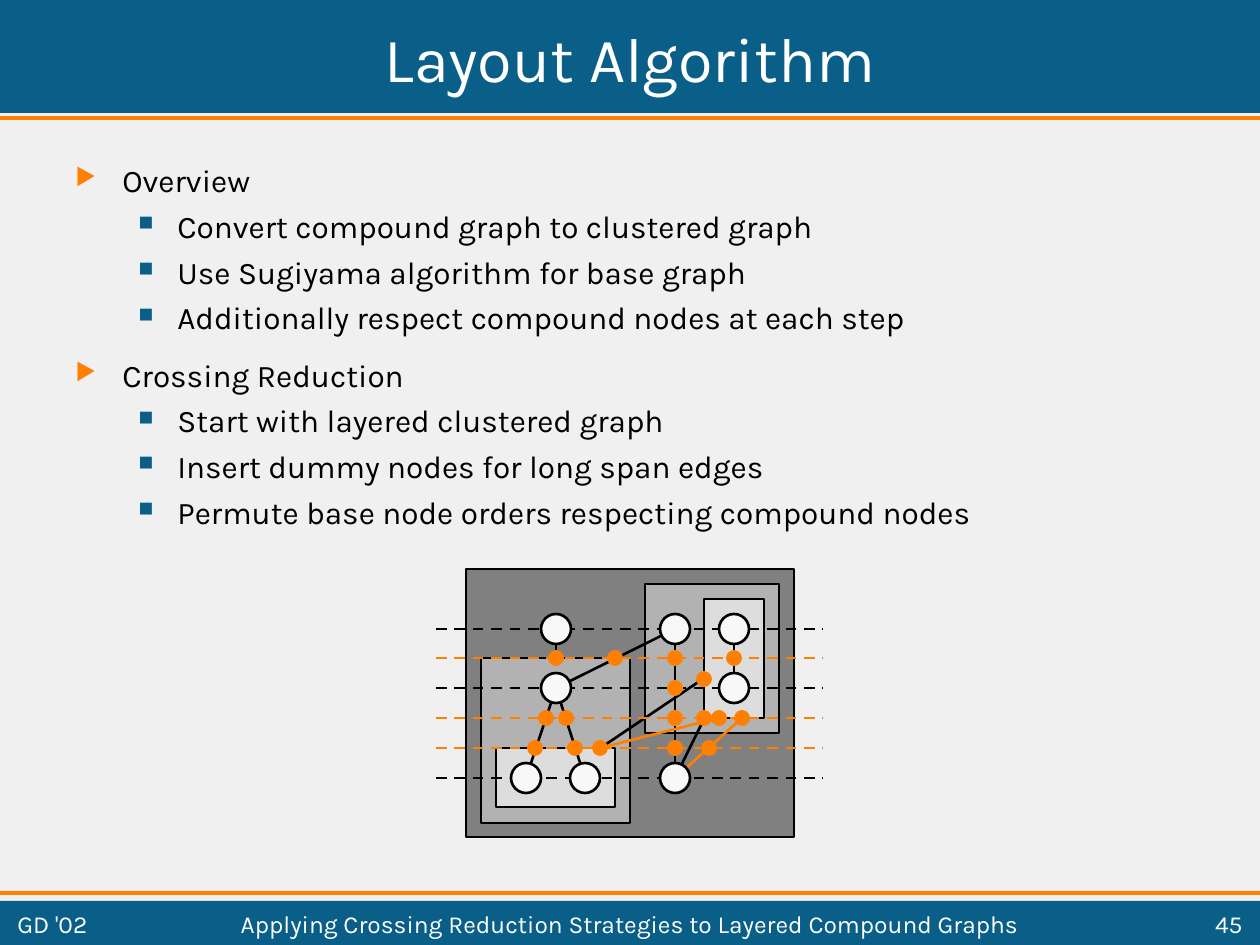
import lxml.etree
import pptx
import pptx.dml.color
import pptx.enum.dml
import pptx.enum.shapes
import pptx.enum.text
import pptx.oxml.ns
import pptx.util

EMU_PER_PX = 914400 / 126
THEME = {
    "font": "Karla", "title": 36, "body": 18, "footer": 14,
    "page": "F0F0F0", "blue": "0A5F89", "orange": "FF7F00",
    "black": "000000", "white": "FFFFFF", "node": "F8F8F8",
    "outer": "808080", "cluster": "B2B2B2", "inner": "DDDDDD",
    "rule": 2.25, "stroke": 1.5,
}
SHAPE = pptx.enum.shapes.MSO_SHAPE
ALIGN = pptx.enum.text.PP_ALIGN
qn = pptx.oxml.ns.qn


def px(*lengths):
    return [pptx.util.Emu(round(length * EMU_PER_PX)) for length in lengths]


def rgb(name):
    return pptx.dml.color.RGBColor.from_string(THEME[name])


deck = pptx.Presentation()
deck.slide_width, deck.slide_height = px(1260, 945)
slide = deck.slides.add_slide(deck.slide_layouts[6])
slide.background.fill.solid()
slide.background.fill.fore_color.rgb = rgb("page")

# Diagram grid: columns and layers of the graph
left, middle, right, long_edge, far = 526, 556, 585, 675, 734
layer1, dummy1, layer2, dummy2, dummy3, layer3 = 629, 658, 688, 718, 748, 778
node_radius, dot_radius = 15, 8
dash_left, dash_right = 436, 823

# Back to front: (kind, left, top, right, bottom, colour)
parts = [
    ("box", 0, 0, 1260, 113, "blue"),
    ("box", 0, 901, 1260, 945, "blue"),
    ("rule", 0, 118, 1260, 118, "orange"),
    ("rule", 0, 893, 1260, 893, "orange"),
    # Compound nodes and the edges between them
    ("cluster", 466, 569, 794, 837, "outer"),
    ("cluster", 645, 584, 779, 733, "cluster"),
    ("edge", long_edge, layer1, long_edge, layer3, "black"),
    ("edge", middle, layer1, middle, dummy1, "black"),
    ("edge", long_edge, layer3, far, dummy1, "black"),
    ("cluster", 481, 658, 630, 823, "cluster"),
    ("edge", middle, layer3, far, dummy1, "black"),
    ("cluster", 496, 748, 615, 807, "inner"),
    ("edge", middle, layer2, right, layer3, "black"),
    ("edge", middle, layer2, left, layer3, "black"),
    ("edge", middle, layer2, long_edge, layer1, "black"),
    ("cluster", 704, 599, 764, 718, "inner"),
]
# Base layers
parts += [("dash", dash_left, y, dash_right, y, "black") for y in (layer1, layer2, layer3)]
parts += [("edge", far, layer1, far, layer2, "black")]
# Dummy layers and rerouted edges
base_nodes = [(middle, layer1), (long_edge, layer1), (far, layer1), (middle, layer2),
              (far, layer2), (left, layer3), (right, layer3)]
parts += [("node", x - node_radius, y - node_radius, x + node_radius, y + node_radius, "node")
          for x, y in base_nodes]
parts += [("dash", dash_left, y, dash_right, y, "orange") for y in (dummy1, dummy2, dummy3)]
parts += [
    ("edge", 742, dummy2, long_edge, layer3, "orange"),
    ("edge", 719, dummy2, 600, dummy3, "orange"),
    ("node", long_edge - node_radius, layer3 - node_radius,
     long_edge + node_radius, layer3 + node_radius, "node"),
]
# Dummy nodes
dummy_columns = {
    dummy1: (middle, 615, long_edge, far),
    679: (704,),
    layer2: (long_edge,),
    dummy2: (546, 566, long_edge, 704, 719, 742),
    dummy3: (535, 575, 600, long_edge, 709),
}
parts += [("dot", x - dot_radius, y - dot_radius, x + dot_radius, y + dot_radius, "orange")
          for y, columns in dummy_columns.items() for x in columns]

for kind, x1, y1, x2, y2, colour in parts:
    if kind in ("rule", "edge", "dash"):
        line = slide.shapes.add_connector(
            pptx.enum.shapes.MSO_CONNECTOR.STRAIGHT, *px(x1, y1, x2, y2))
        line.line.color.rgb = rgb(colour)
        line.line.width = pptx.util.Pt(THEME["rule" if kind == "rule" else "stroke"])
        if kind == "dash":
            line.line.dash_style = pptx.enum.dml.MSO_LINE.DASH
        lxml.etree.SubElement(line._element.spPr, qn("a:effectLst"))
        continue
    preset = SHAPE.OVAL if kind in ("node", "dot") else SHAPE.RECTANGLE
    area = slide.shapes.add_shape(preset, *px(x1, y1, x2 - x1, y2 - y1))
    area.shadow.inherit = False
    area.fill.solid()
    area.fill.fore_color.rgb = rgb(colour)
    if kind in ("node", "cluster"):
        area.line.color.rgb = rgb("black")
        area.line.width = pptx.util.Pt(THEME["stroke"])
    else:
        area.line.fill.background()

# Title and footer
captions = [
    ("Layout Algorithm", 5, 5, 1250, 105, "title", ALIGN.CENTER),
    ("Applying Crossing Reduction Strategies to Layered Compound Graphs",
     164, 906, 932, 35, "footer", ALIGN.CENTER),
    ("45", 1106, 906, 149, 35, "footer", ALIGN.RIGHT),
    ("GD '02", 5, 906, 149, 35, "footer", ALIGN.LEFT),
]
for words, x, y, width, height, size, align in captions:
    frame = slide.shapes.add_textbox(*px(x, y, width, height)).text_frame
    frame.word_wrap = True
    frame.vertical_anchor = pptx.enum.text.MSO_ANCHOR.MIDDLE
    caption = frame.paragraphs[0]
    caption.text = words
    caption.alignment = align
    caption.font.name = THEME["font"]
    caption.font.size = pptx.util.Pt(THEME[size])
    caption.font.color.rgb = rgb("white")

# Outline: level, words
outline = [
    (0, "Overview"),
    (1, "Convert compound graph to clustered graph"),
    (1, "Use Sugiyama algorithm for base graph"),
    (1, "Additionally respect compound nodes at each step"),
    (0, "Crossing Reduction"),
    (1, "Start with layered clustered graph"),
    (1, "Insert dummy nodes for long span edges"),
    (1, "Permute base node orders respecting compound nodes"),
]
# Per level: margin, hanging indent, space before, bullet, colour, bullet size
levels = [(47, -47, 11.2, "▶", "orange", 75), (102, -39, 4.5, "■", "blue", 65)]
body = slide.shapes.add_textbox(*px(63, 155, 1134, 384)).text_frame
body.word_wrap = True
for index, (level, words) in enumerate(outline):
    margin, indent, space, bullet, colour, percent = levels[level]
    item = body.paragraphs[0] if index == 0 else body.add_paragraph()
    item.text = words
    item.level = level
    item.space_before = pptx.util.Pt(space)
    item.font.name = THEME["font"]
    item.font.size = pptx.util.Pt(THEME["body"])
    item.font.color.rgb = rgb("black")
    properties = item._p.get_or_add_pPr()
    properties.set("marL", str(px(margin)[0]))
    properties.set("indent", str(px(indent)[0]))
    bullet_colour = lxml.etree.Element(qn("a:buClr"))
    lxml.etree.SubElement(bullet_colour, qn("a:srgbClr"), val=THEME[colour])
    bullet_size = lxml.etree.Element(qn("a:buSzPct"), val=str(percent * 1000))
    bullet_mark = lxml.etree.Element(qn("a:buChar"), char=bullet)
    for offset, element in enumerate((bullet_colour, bullet_size, bullet_mark)):
        properties.insert(1 + offset, element)

deck.save("out.pptx")
